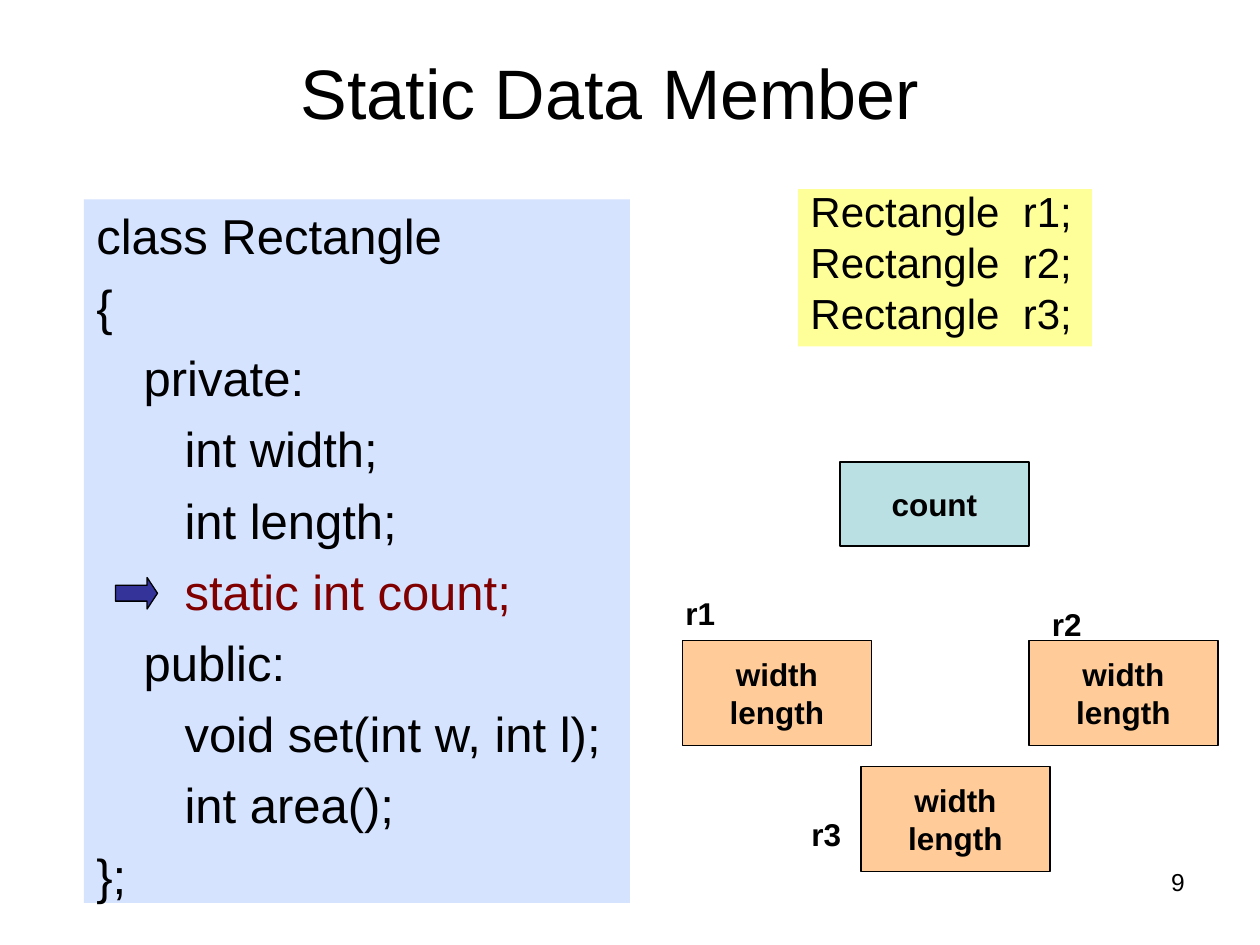
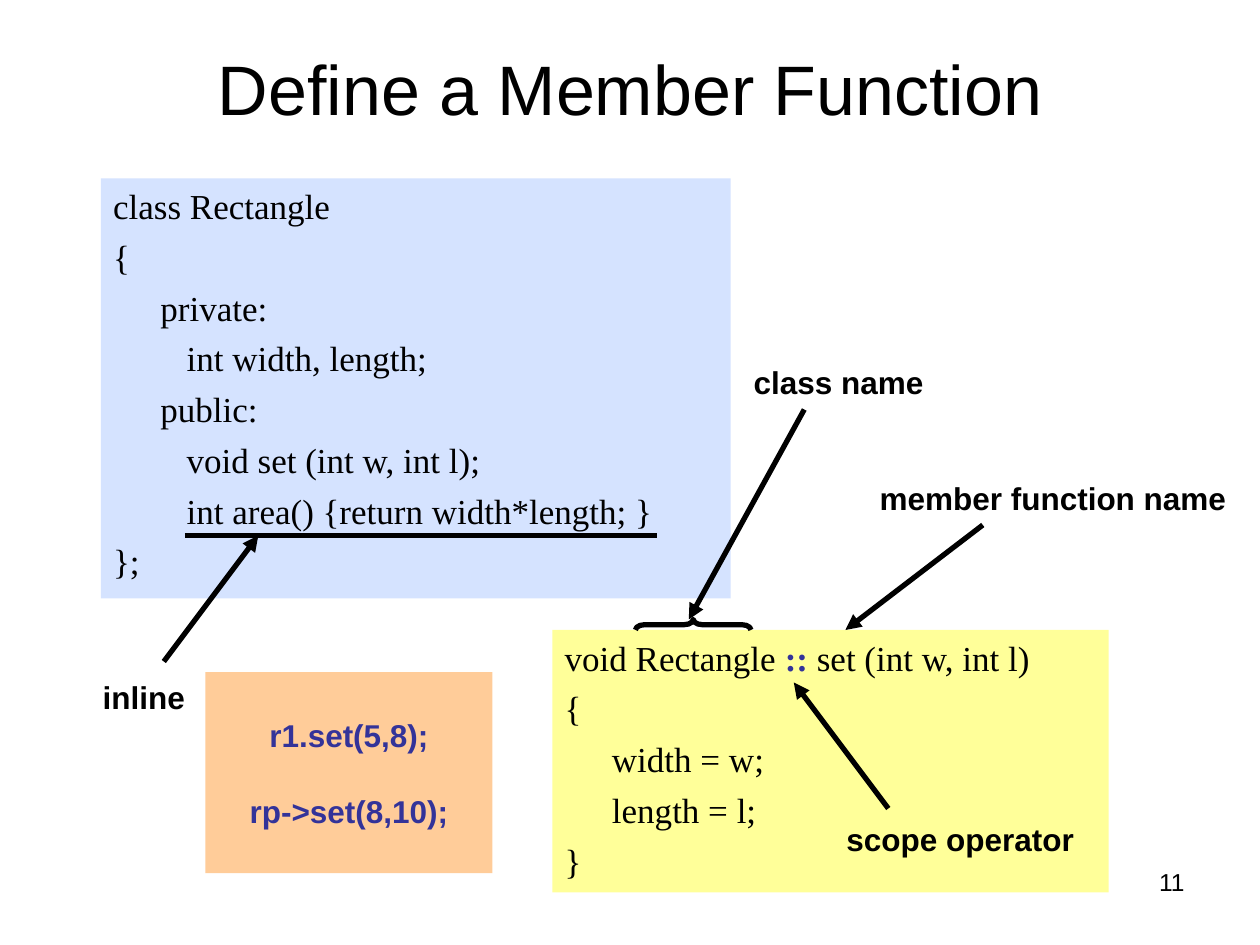
import pptx
import pptx.util
import pptx.dml.color
import pptx.enum.shapes
import pptx.enum.text
import pptx.oxml
import pptx.oxml.ns

Pt = pptx.util.Pt
RGBColor = pptx.dml.color.RGBColor
Shape = pptx.enum.shapes.MSO_SHAPE
Align = pptx.enum.text.PP_ALIGN
Anchor = pptx.enum.text.MSO_ANCHOR
AutoSize = pptx.enum.text.MSO_AUTO_SIZE

BLACK = RGBColor(0x00, 0x00, 0x00)
MAROON = RGBColor(0x80, 0x00, 0x00)
INDIGO = RGBColor(0x33, 0x33, 0x99)
PALE_BLUE = RGBColor(0xD5, 0xE3, 0xFF)
PALE_YELLOW = RGBColor(0xFF, 0xFF, 0x99)
PALE_ORANGE = RGBColor(0xFF, 0xCC, 0x99)
PALE_TEAL = RGBColor(0xBB, 0xE0, 0xE3)

SANS = "Arial"
SERIF = "Times New Roman"
FIRST_INDENT = 27
LABEL_HEIGHT = 29
OBJECT_SIZE = (108, 60)


def points(*values):
    return [Pt(value) for value in values]


def set_margins(frame):
    frame.margin_left = frame.margin_right = Pt(7.2)
    frame.margin_top = frame.margin_bottom = Pt(3.6)


def style_paragraph(para, size, font=SANS, color=BLACK, bold=False, align=Align.LEFT):
    para.alignment = align
    para.font.size = Pt(size)
    para.font.name = font
    para.font.bold = bold
    para.font.color.rgb = color


def write_lines(frame, lines, size, **style):
    for index, line in enumerate(lines):
        para = frame.paragraphs[0] if index == 0 else frame.add_paragraph()
        style_paragraph(para, size, **style)
        para.add_run().text = line


def add_text(page, box, text, size, anchor=Anchor.TOP, **style):
    frame = page.shapes.add_textbox(*points(*box)).text_frame
    set_margins(frame)
    frame.word_wrap = True
    frame.vertical_anchor = anchor
    write_lines(frame, [text], size, **style)
    return frame


def add_label(page, left, top, width, text):
    frame = add_text(page, (left, top, width, LABEL_HEIGHT), text, 18, bold=True)
    frame.word_wrap = False
    frame.auto_size = AutoSize.SHAPE_TO_FIT_TEXT


def add_panel(page, box, fill, outlined=False, kind=Shape.RECTANGLE):
    panel = page.shapes.add_shape(kind, *points(*box))
    panel.shadow.inherit = False
    panel.fill.solid()
    panel.fill.fore_color.rgb = fill
    if outlined:
        panel.line.color.rgb = BLACK
        panel.line.width = Pt(0.75)
    else:
        panel.line.fill.background()
    set_margins(panel.text_frame)
    return panel


def add_line(page, start, end, arrow=True):
    line = page.shapes.add_connector(
        pptx.enum.shapes.MSO_CONNECTOR.STRAIGHT, *points(*start, *end))
    line.line.color.rgb = BLACK
    line.line.width = Pt(3)
    if arrow:
        head = pptx.oxml.parse_xml(
            f'<a:tailEnd {pptx.oxml.ns.nsdecls("a")} type="triangle"/>')
        line.line._get_or_add_ln().append(head)
    effects = pptx.oxml.parse_xml(f'<a:effectLst {pptx.oxml.ns.nsdecls("a")}/>')
    line._element.spPr.append(effects)


def add_code(page, box, fill, lines, size, font, gap, spacing=None, step=0):
    frame = add_panel(page, box, fill).text_frame
    frame.vertical_anchor = Anchor.TOP
    for index, (level, *spans) in enumerate(lines):
        para = frame.paragraphs[0] if index == 0 else frame.add_paragraph()
        style_paragraph(para, size, font)
        para.space_before = Pt(gap)
        if spacing:
            para.line_spacing = spacing
        indent = FIRST_INDENT + step * (level - 1) if level else 0
        para._p.get_or_add_pPr().set("marL", str(Pt(indent)))
        for text, color, bold in spans:
            span = para.add_run()
            span.text = text
            if color != BLACK:
                span.font.color.rgb = color
            if bold:
                span.font.bold = True


def code(level, text):
    return level, (text, BLACK, False)


def add_frame(page, title, title_box, number):
    add_text(page, (516, 492, 168, 37), number, 14, align=Align.RIGHT)
    add_text(page, title_box, title, 40, anchor=Anchor.MIDDLE, align=Align.CENTER)


def add_memory_box(page, box, fill, lines):
    frame = add_panel(page, box, fill, outlined=True).text_frame
    frame.word_wrap = False
    frame.vertical_anchor = Anchor.MIDDLE
    write_lines(frame, lines, 18, bold=True, align=Align.CENTER)


def add_memory_diagram(page, box):
    left, top = box[:2]
    width, height = OBJECT_SIZE
    add_memory_box(page, (left + 96, top, width, 48), PALE_TEAL, ["count"])
    objects = [
        ("r1", (6, 102), (0.5, 72)),
        ("r2", (204, 102), (210, 78)),
        ("r3", (108, 174), (72.5, 198)),
    ]
    for name, (across, down), (label_across, label_down) in objects:
        add_memory_box(page, (left + across, top + down, width, height),
                       PALE_ORANGE, ["width", "length"])
        add_label(page, left + label_across, top + label_down, 31.5, name)


def add_static_class(page, box):
    lines = [
        code(0, "class Rectangle"),
        code(0, "{"),
        code(1, "private:"),
        code(2, "int width;"),
        code(2, "int length;"),
        (2, ("static int count;", MAROON, False)),
        code(1, "public:"),
        code(2, "void set(int w, int l);"),
        code(2, "int area();"),
        code(0, "};"),
    ]
    add_code(page, box, PALE_BLUE, lines, 28, SANS, 7, step=23.4)
    pointer = add_panel(page, (box[0] + 18, box[1] + 216, 24, 18), INDIGO,
                        outlined=True, kind=Shape.RIGHT_ARROW)
    pointer.adjustments[1] = 0.33


def add_inline_class(page, box):
    lines = [
        code(0, "class Rectangle"),
        code(0, "{"),
        code(1, "private:"),
        code(2, "int width, length;"),
        code(1, "public:"),
        code(2, "void set (int w, int l);"),
        code(2, "int area() {return width*length; }"),
        code(0, "};"),
    ]
    left, top = box[:2]
    add_code(page, box, PALE_BLUE, lines, 20, SERIF, 5, step=15)
    add_line(page, (left + 48, top + 204), (left + 318, top + 204), arrow=False)
    add_label(page, left - 6, top + 282, 62, "inline")
    add_line(page, (left + 36, top + 276), (left + 90, top + 204))


def add_definition(page, box):
    lines = [
        (0, ("void Rectangle ", BLACK, False), ("::", INDIGO, True),
         (" set (int w, int l)", BLACK, False)),
        code(0, "{"),
        code(1, "width = w;"),
        code(1, "length = l;"),
        code(0, "}"),
    ]
    left, top = box[:2]
    add_code(page, box, PALE_YELLOW, lines, 20, SERIF, 5)
    brace = page.shapes.add_shape(Shape.LEFT_BRACE,
                                  *points(left + 77.5, top - 36, 6, 66))
    brace.shadow.inherit = False
    brace.fill.background()
    brace.line.color.rgb = BLACK
    brace.line.width = Pt(3)
    brace.rotation = 90
    brace.adjustments[0] = 0.87
    notes = [
        ("class name", (108, -156, 112), (144, -126), (78, -6)),
        ("member function name", (180, -90, 213), (246, -60), (167.5, 0)),
        ("scope operator", (161, 105, 145), (192, 102), (138, 30)),
    ]
    for text, (across, down, width), start, end in notes:
        add_label(page, left + across, top + down, width, text)
        add_line(page, (left + start[0], top + start[1]),
                 (left + end[0], top + end[1]))


def add_calls(page, box):
    frame = add_panel(page, box, PALE_ORANGE).text_frame
    frame.vertical_anchor = Anchor.TOP
    frame.margin_top = Pt(25.2)
    write_lines(frame, ["r1.set(5,8);", "rp->set(8,10);"], 18,
                color=INDIGO, bold=True, align=Align.CENTER)
    frame.paragraphs[0].space_after = Pt(21.6)


def build_static_member(page):
    add_frame(page, "Static Data Member ", (30, 27.5, 648, 50), "9")
    add_static_class(page, (48, 114, 312, 402))
    declarations = [code(0, f"Rectangle  r{number};") for number in (1, 2, 3)]
    add_code(page, (456, 108, 168, 90), PALE_YELLOW, declarations, 24, SANS, 6,
             spacing=0.8)
    add_memory_diagram(page, (384, 264, 312, 234))


def build_member_function(page):
    add_frame(page, "Define a Member Function", (36, 22, 648, 56), "11")
    add_inline_class(page, (57.6, 102, 360, 240))
    add_definition(page, (315.6, 360, 318, 150))
    add_calls(page, (117.4, 384, 164, 115))


def main():
    deck = pptx.Presentation()
    deck.slide_width, deck.slide_height = points(720, 540)
    for build in (build_static_member, build_member_function):
        build(deck.slides.add_slide(deck.slide_layouts[6]))
    deck.save("out.pptx")


if __name__ == "__main__":
    main()
